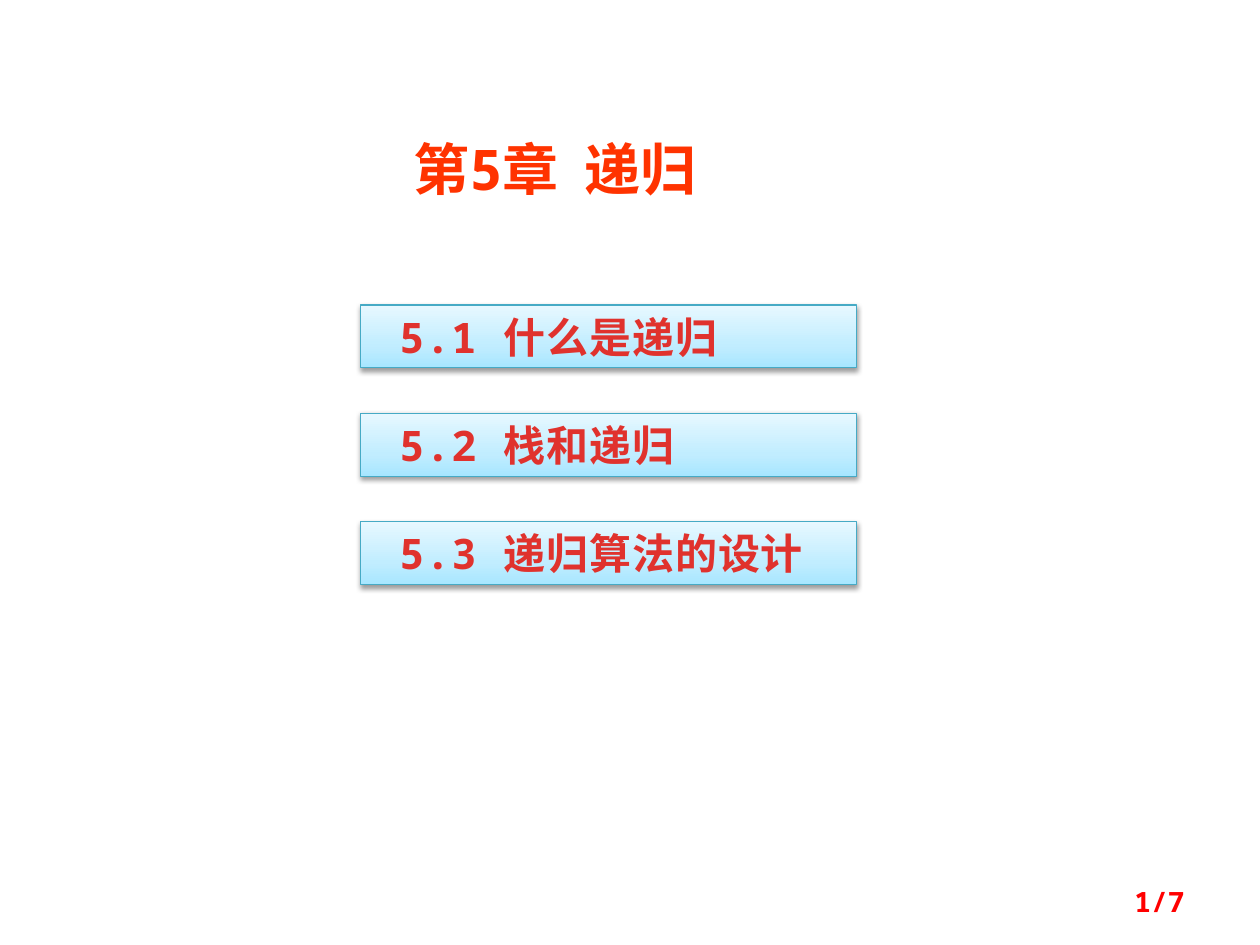
from copy import deepcopy
from lxml.etree import SubElement
from pptx import Presentation
from pptx.dml.color import RGBColor
from pptx.enum.shapes import MSO_SHAPE
from pptx.enum.text import MSO_ANCHOR, MSO_AUTO_SIZE, PP_ALIGN
from pptx.oxml.ns import qn
from pptx.util import Inches, Pt

WHITE = RGBColor(0xFF, 0xFF, 0xFF)
RED = RGBColor(0xFF, 0x00, 0x00)
ORANGE = RGBColor(0xFF, 0x33, 0x00)
TEAL = RGBColor(0x46, 0xAA, 0xC5)
BLUES = [
    (0, RGBColor(0xA7, 0xE6, 0xFF)),
    (0.35, RGBColor(0xC1, 0xED, 0xFF)),
    (1, RGBColor(0xE7, 0xF8, 0xFF)),
]
REDS = [(0.25, RGBColor(0xE0, 0x32, 0x2D)), (1, RGBColor(0xA2, 0x20, 0x1C))]
FONT = "Noto Sans Mono"


def shade(fill, root, stops, angle):
    fill.gradient()
    fill.gradient_angle = angle
    group = root.find(".//" + qn("a:gsLst"))
    while len(group) < len(stops):
        group.append(deepcopy(group[0]))
    for stop, (place, color) in zip(fill.gradient_stops, stops):
        stop.position = place
        stop.color.rgb = color


def write(shape, text, align, frame, font):
    for key, value in frame.items():
        setattr(shape.text_frame, key, value)
    para = shape.text_frame.paragraphs[0]
    para.alignment = align
    run = para.add_run()
    run.text = text
    for key, value in font.items():
        setattr(run.font, key, value)
    return run


prs = Presentation()
prs.slide_width, prs.slide_height = Inches(10), Inches(7.5)
slide = prs.slides.add_slide(prs.slide_layouts[6])
shapes = slide.shapes

page = shapes.add_textbox(Inches(7.17), Inches(6.95), Inches(2.33), Inches(0.4))
frame = {"word_wrap": True, "vertical_anchor": MSO_ANCHOR.MIDDLE}
font = {"name": FONT, "size": Pt(16), "bold": True}
run = write(page, "1/7", PP_ALIGN.RIGHT, frame, font)
run.font.color.rgb = RED

frame = {
    "word_wrap": True,
    "vertical_anchor": MSO_ANCHOR.TOP,
    "auto_size": MSO_AUTO_SIZE.SHAPE_TO_FIT_TEXT,
}
title = shapes.add_shape(
    MSO_SHAPE.RECTANGLE, Inches(2.5), Inches(1.02), Inches(3.91), Inches(0.64)
)
title.shadow.inherit = False
title.fill.solid()
title.fill.fore_color.rgb = WHITE
title.line.color.rgb = WHITE
title.line.width = Pt(2)
run = write(title, "第5章  递归 ", PP_ALIGN.CENTER, frame, font | {"size": Pt(32)})
run.font.color.rgb = ORANGE
props = title.text_frame.paragraphs[0]._p.get_or_add_pPr()
props.set("marL", str(Inches(0.5)))
props.set("indent", str(Inches(-0.5)))

frame["margin_left"] = Inches(0.31)
items = ["5.1 什么是递归", "5.2 栈和递归", "5.3 递归算法的设计"]
for row, text in enumerate(items):
    top = Inches(2.42 + 0.86 * row)
    box = shapes.add_shape(
        MSO_SHAPE.RECTANGLE, Inches(2.86), top, Inches(3.94), Inches(0.5)
    )
    box.shadow.inherit = False
    shade(box.fill, box._element.spPr, BLUES, 90)
    box.line.color.rgb = TEAL
    box.line.width = Pt(0.75)
    glow = SubElement(
        box._element.spPr.find(qn("a:effectLst")),
        qn("a:outerShdw"),
        blurRad=str(Pt(3.1)),
        dist=str(Pt(1.6)),
        dir="5400000",
        rotWithShape="0",
    )
    tint = SubElement(glow, qn("a:srgbClr"), val="000000")
    SubElement(tint, qn("a:alpha"), val="38000")
    run = write(box, text, PP_ALIGN.LEFT, frame, font | {"size": Pt(24)})
    shade(run.font.fill, run._r, REDS, 270)
    run._r.get_or_add_rPr().set("spc", "50")

prs.save("out.pptx")
